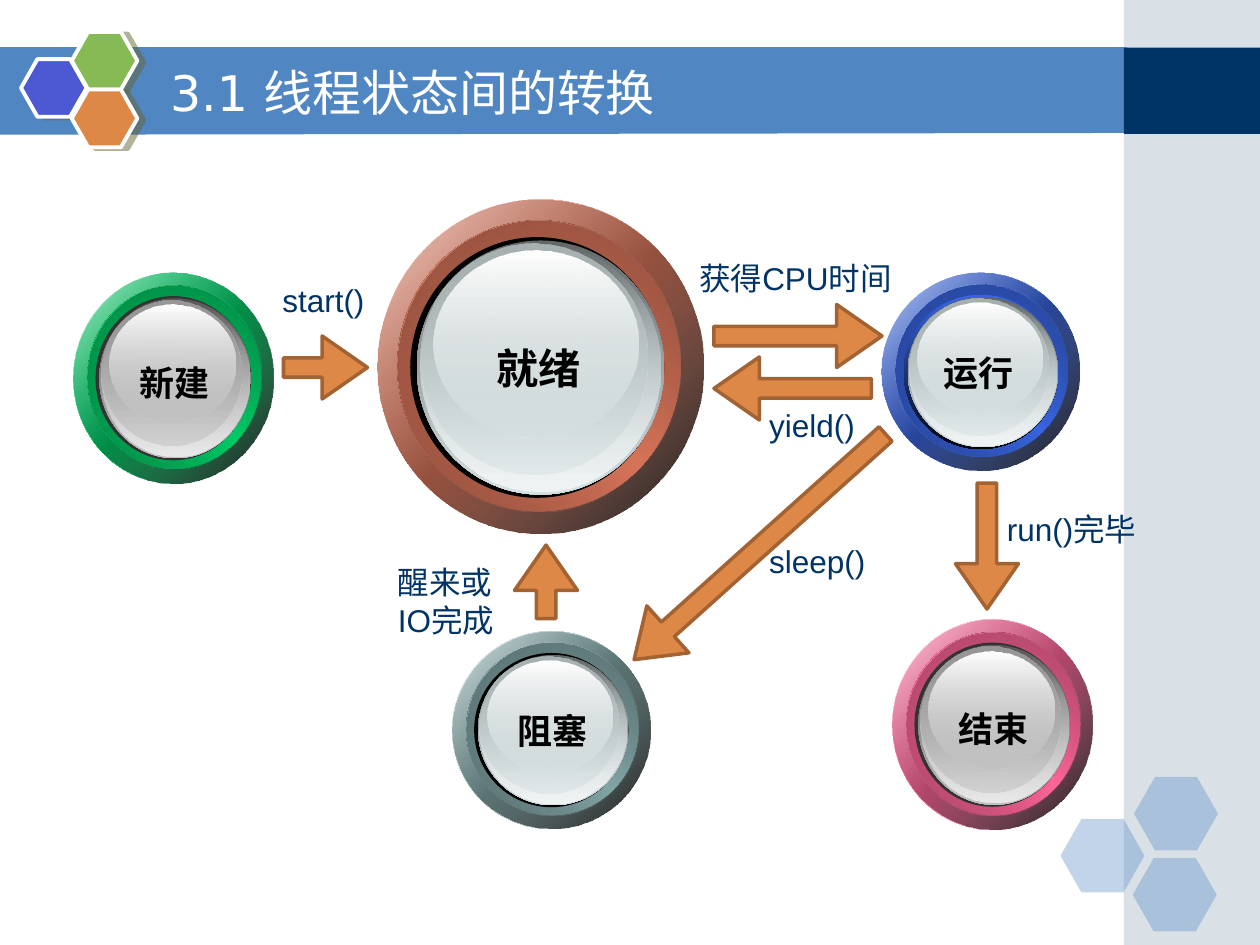
from dataclasses import dataclass

from lxml import etree
from pptx import Presentation
from pptx.dml.color import RGBColor
from pptx.enum.shapes import MSO_SHAPE
from pptx.enum.text import MSO_ANCHOR, MSO_AUTO_SIZE, PP_ALIGN
from pptx.oxml.ns import qn
from pptx.util import Pt

ELLIPSE, HEXAGON = MSO_SHAPE.OVAL, MSO_SHAPE.HEXAGON
RECTANGLE, ARROW = MSO_SHAPE.RECTANGLE, MSO_SHAPE.LEFT_ARROW
MIDDLE, LEFT = MSO_ANCHOR.MIDDLE, PP_ALIGN.LEFT
FIT_SHAPE, NO_FIT = MSO_AUTO_SIZE.SHAPE_TO_FIT_TEXT, MSO_AUTO_SIZE.NONE
TITLE_ONLY = 5


@dataclass(frozen=True)
class Theme:
    white: str = "FFFFFF"
    black: str = "000000"
    band: str = "5086C2"
    navy: str = "003366"
    sidebar: str = "A0B5C4"
    violet: str = "4C59D2"
    lime: str = "85BA54"
    orange: str = "DE8848"
    arrow_edge: str = "A36232"
    shadow: str = "666633"
    glass: str = "D6E1E2"
    silver: str = "C0C0C0"
    charcoal: str = "333333"
    copper: str = "D8755A"
    teal: str = "83A6A7"
    pink: str = "FF6699"
    green: str = "00CC66"
    blue: str = "3965E1"
    midnight: str = "03060D"
    body_font: str = "Arial"
    title_font: str = "DejaVu Sans"
    title_size: int = 28
    big_size: int = 24
    state_size: int = 20
    label_size: int = 18


def mix(color, target, share):
    pairs = zip(bytes.fromhex(color), bytes.fromhex(target))
    return "".join(f"{round(a + (b - a) * share):02X}" for a, b in pairs)


def write_text(frame, text, *, font, size, color, bold=False):
    for index, line in enumerate(text.split("\n")):
        paragraph = frame.paragraphs[0] if index == 0 else frame.add_paragraph()
        paragraph.alignment = LEFT
        run = paragraph.add_run()
        run.text = line
        run.font.name = font
        run.font.size = Pt(size)
        run.font.bold = bold
        run.font.color.rgb = RGBColor.from_string(color)


def add_color(parent, color, opacity=100):
    node = etree.SubElement(parent, qn("a:srgbClr"), val=color)
    if opacity < 100:
        etree.SubElement(node, qn("a:alpha"), val=str(opacity * 1000))


class StateSlide:
    def __init__(self, presentation, theme):
        self.theme = theme
        self.slide = presentation.slides.add_slide(presentation.slide_layouts[TITLE_ONLY])

    def paint(self, shape, color, opacity=100, edge=None, edge_width=0):
        shape.shadow.inherit = False
        shape.fill.solid()
        shape.fill.fore_color.rgb = RGBColor.from_string(color)
        if opacity < 100:
            node = shape._element.spPr.find(f"{qn('a:solidFill')}/{qn('a:srgbClr')}")
            etree.SubElement(node, qn("a:alpha"), val=str(opacity * 1000))
        if edge:
            shape.line.color.rgb = RGBColor.from_string(edge)
            shape.line.width = Pt(edge_width)
        else:
            shape.line.fill.background()

    def shape(self, kind, box, color, parent=None, **style):
        shape = (parent or self.slide).shapes.add_shape(kind, *map(Pt, box))
        self.paint(shape, color, **style)
        return shape

    def band(self, corners, color):
        builder = self.slide.shapes.build_freeform(*corners[0], scale=Pt(1))
        builder.add_line_segments(corners[1:], close=True)
        self.paint(builder.convert_to_shape(), color)

    def hexagon(self, box, color, parent=None, shadow=None, **style):
        shape = self.shape(HEXAGON, box, color, parent, **style)
        shape.adjustments[0] = 0.285
        if shadow:
            effects = shape._element.spPr.find(qn("a:effectLst"))
            cast = etree.SubElement(effects, qn("a:outerShdw"), blurRad="0",
                                    dist=str(Pt(4.1)), dir=str(14 * 60000),
                                    algn="ctr", rotWithShape="0")
            add_color(cast, shadow, 50)

    def disc(self, box, angle, stops, parent):
        shape = self.shape(ELLIPSE, box, stops[0][0], parent)
        if len(stops) == 1:
            return
        shape.fill.gradient()
        shape.fill.gradient_angle = 360 - angle
        stop_list = shape._element.spPr.find(f"{qn('a:gradFill')}/{qn('a:gsLst')}")
        for stop in list(stop_list):
            stop_list.remove(stop)
        for index, stop in enumerate(stops):
            position = index * 100000 // (len(stops) - 1)
            add_color(etree.SubElement(stop_list, qn("a:gs"), pos=str(position)), *stop)

    def button(self, box, color, face, rim, shift=(0, 0)):
        theme = self.theme
        left, top, width, height = box
        white, black = theme.white, theme.black
        deep = mix(color, black, 0.46)
        layers = [
            (0, 0, 1, 1, 45, [(white,), (color,), (white,)]),
            (0, 0, 1, 1, 45, [(color, 32), (black, 90)]),
            (0.07, 0.06, 0.87, 0.87, 315, [(deep,), (color,), (deep,)]),
            (0.07, 0.06, 0.87, 0.87, 45, [(mix(color, black, 0.36),), (color, 0)]),
            (0.11, 0.11, 0.78, 0.78, 90, rim),
            (0.13, 0.12, 0.76, 0.76, 90, [(mix(face, black, 0.54),), (face,)]),
            (0.14, 0.13, 0.74, 0.74, 90, [(face, 0), (mix(face, white, 0.65),)]),
            (0.14, 0.13, 0.7, 0.69, 90, [(mix(face, black, 0.21),), (face, 48)]),
            (0.18, 0.15, 0.63, 0.56, 90, [(white,), (face, 38)]),
        ]
        group = self.slide.shapes.add_group_shape()
        for x, y, w, h, angle, stops in layers:
            dx, dy = shift if x else (0, 0)
            self.disc((left + x * width + dx, top + y * height + dy, w * width, h * height),
                      angle, stops, group)

    def arrow(self, box, rotation):
        shape = self.shape(ARROW, box, self.theme.orange, edge=self.theme.arrow_edge, edge_width=2)
        shape.adjustments[0], shape.adjustments[1] = 0.31, 0.72
        shape.rotation = rotation

    def label(self, text, box, **style):
        frame = self.slide.shapes.add_textbox(*map(Pt, box)).text_frame
        frame.word_wrap = True
        frame.auto_size = FIT_SHAPE
        write_text(frame, text, font=self.theme.body_font, **style)

    def title(self, text, box):
        title = self.slide.shapes.title
        title.left, title.top, title.width, title.height = map(Pt, box)
        frame = title.text_frame
        frame.vertical_anchor = MIDDLE
        frame.auto_size = NO_FIT
        write_text(frame, text, font=self.theme.title_font,
                   size=self.theme.title_size, color=self.theme.white)
        self.slide.shapes._spTree.append(title._element)

    def backdrop(self):
        theme = self.theme
        self.band([(-0.5, 27.2), (644.5, 27.2), (644.5, 76.5), (-0.5, 77)], theme.band)
        self.shape(RECTANGLE, (642.2, 0, 77.8, 540), theme.sidebar, opacity=40)
        self.shape(RECTANGLE, (642.2, 27.2, 77.8, 49.3), theme.navy)
        for left, top in [(606, 468), (648, 444), (647.3, 490.3)]:
            self.hexagon((left, top, 48, 42), theme.band, opacity=35)
        emblem = self.slide.shapes.add_group_shape()
        for left, top, color in [(12, 33.8, theme.violet), (41, 18.2, theme.lime),
                                 (41, 51.2, theme.orange)]:
            self.hexagon((left, top, 37.5, 33), color, emblem, theme.shadow,
                         edge=theme.white, edge_width=2.25)


def main():
    presentation = Presentation()
    presentation.slide_width, presentation.slide_height = Pt(720), Pt(540)
    theme = Theme()
    page = StateSlide(presentation, theme)
    page.backdrop()
    page.title("3.1 线程状态间的转换", (90, 30, 528, 45))

    black_rim, gray_rim = [(theme.black,)], [(theme.charcoal,)]
    blue_rim = [(theme.blue,), (theme.midnight,)]
    big, small = theme.big_size, theme.state_size
    states = [
        ("就绪", (216, 114, 186, 191), theme.copper, theme.glass, black_rim, (-2, 0.5),
         (276.5, 192.2, 68, 36), big),
        ("阻塞", (258.5, 360.7, 113, 113), theme.teal, theme.glass, black_rim, (0, 0),
         (288.7, 401.8, 60, 31.5), small),
        ("结束", (510, 354, 114, 120.3), theme.pink, theme.silver, gray_rim, (0, 0),
         (540.7, 401, 60, 31.5), small),
        ("新建", (42, 156, 114, 120.3), theme.green, theme.silver, gray_rim, (0, 0),
         (72.7, 203, 60, 31.5), small),
        ("运行", (504, 156, 113, 113), theme.blue, theme.glass, blue_rim, (0, 0),
         (532, 197.3, 60, 31.5), small),
    ]
    for name, box, color, face, rim, shift, name_box, size in states:
        page.button(box, color, face, rim, shift)
        page.label(name, name_box, size=size, color=theme.black, bold=True)

    for left, top, length, rotation in [
        (408, 174, 96, 180), (291, 314.5, 42, 90), (162, 192, 48, 180),
        (528, 294, 72, 270), (408, 204, 90, 0), (337.7, 294.5, 193, 318.1),
    ]:
        page.arrow((left, top, length, 36), rotation)

    for text, box in [
        ("start()", (154.3, 157, 67, 29)),
        ("获得CPU时间", (392.5, 144.7, 138, 29)),
        ("run()完毕", (568.3, 288, 98, 29)),
        ("sleep()", (432.5, 306, 75, 29)),
        ("醒来或\nIO完成", (220.3, 318.2, 78, 50.5)),
        ("yield()", (432.5, 228.2, 69, 29)),
    ]:
        page.label(text, box, size=theme.label_size, color=theme.navy)

    presentation.save("out.pptx")


if __name__ == "__main__":
    main()
